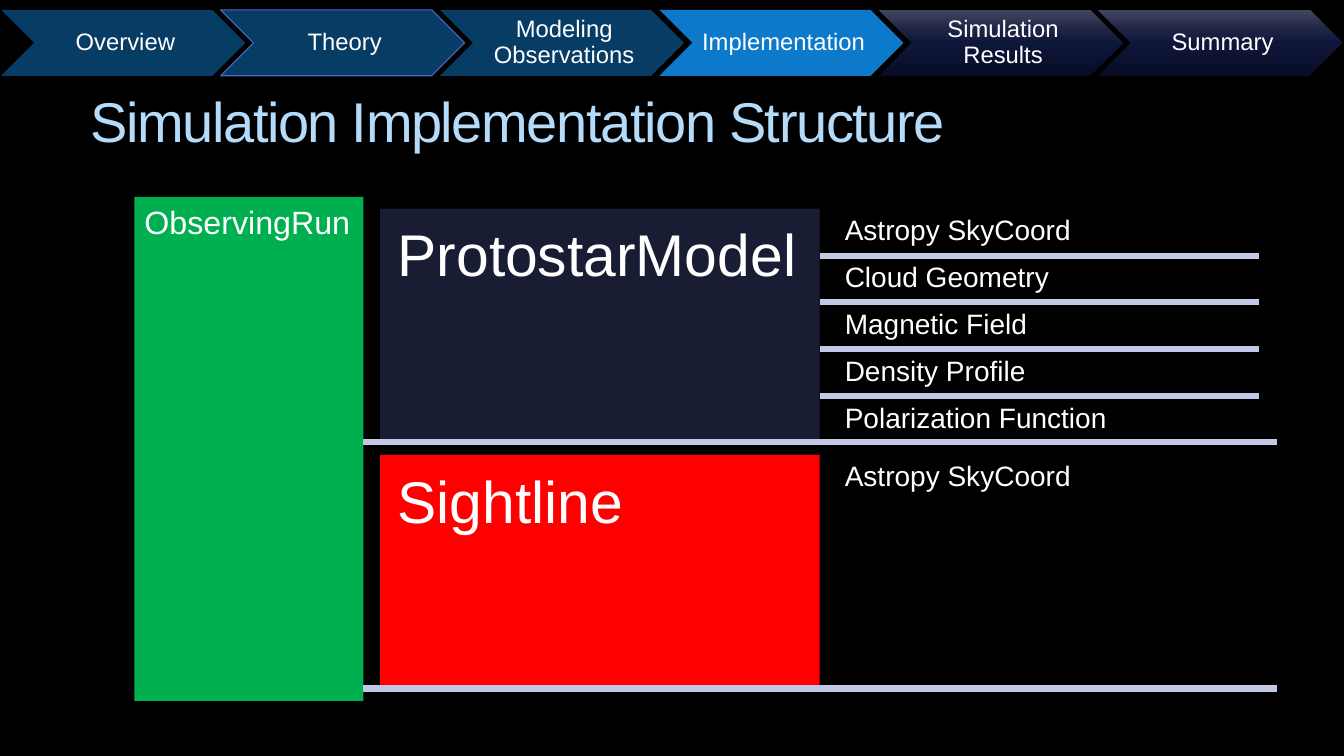
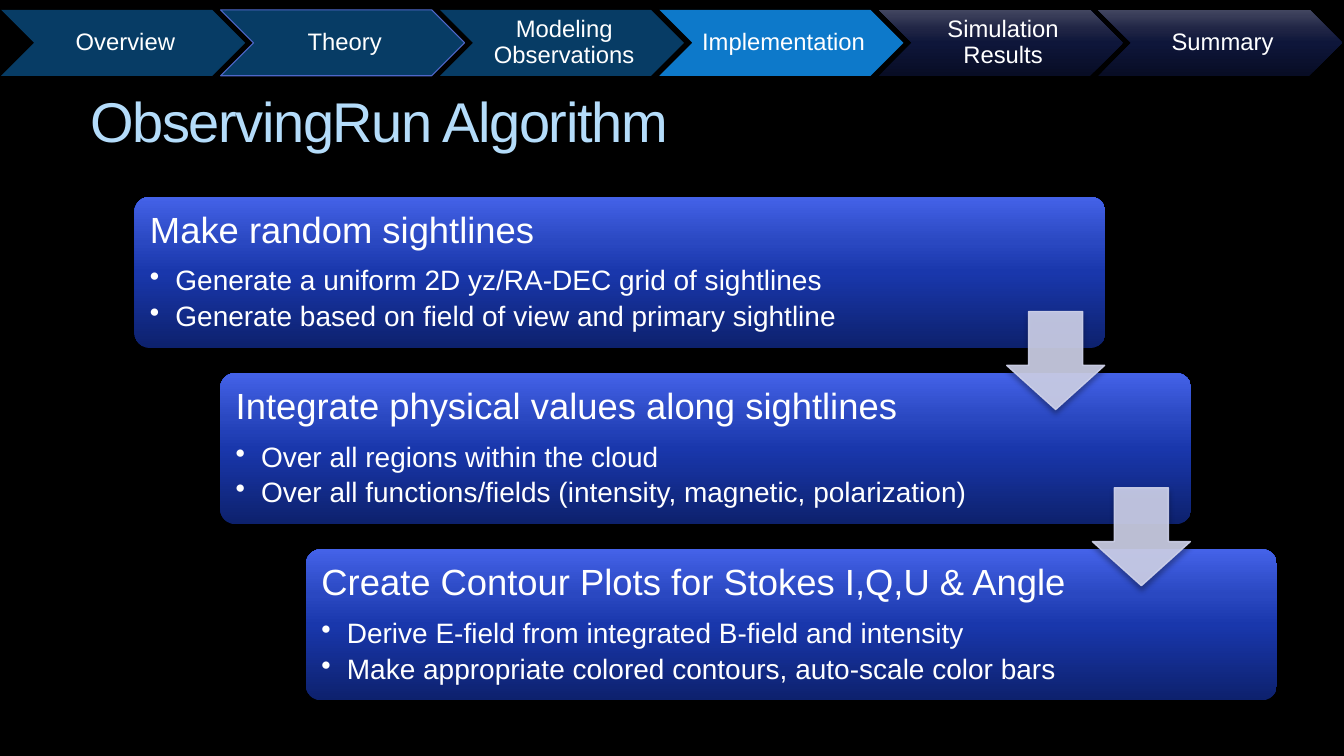
"""Build two slides on the implementation of a protostar observing simulation."""
from dataclasses import dataclass
from typing import Optional, Union

import lxml.etree
import pptx
import pptx.dml.color
import pptx.enum.shapes
import pptx.enum.text
import pptx.oxml.ns
import pptx.util

Cm = pptx.util.Cm
Pt = pptx.util.Pt
RGBColor = pptx.dml.color.RGBColor
Shapes = pptx.enum.shapes.MSO_SHAPE
Anchor = pptx.enum.text.MSO_ANCHOR
Align = pptx.enum.text.PP_ALIGN
qn = pptx.oxml.ns.qn

FONT = "Arial"
BLACK = RGBColor(0x00, 0x00, 0x00)
WHITE = RGBColor(0xFF, 0xFF, 0xFF)
TITLE_BLUE = RGBColor(0xB4, 0xDC, 0xFA)
DONE_BLUE = RGBColor(0x07, 0x3C, 0x65)
CURRENT_BLUE = RGBColor(0x0D, 0x79, 0xCA)
OUTLINE_BLUE = RGBColor(0x4E, 0x67, 0xC8)
GREEN = RGBColor(0x00, 0xB0, 0x50)
NAVY = RGBColor(0x19, 0x1D, 0x34)
RED = RGBColor(0xFF, 0x00, 0x00)
RULE_LILAC = RGBColor(0xC2, 0xC7, 0xE6)
ARROW_LILAC = RGBColor(0xD0, 0xD3, 0xEB)


@dataclass(frozen=True)
class Gradient:
    """Four colours that rise from the bottom edge to the top edge."""
    colours: tuple[RGBColor, RGBColor, RGBColor, RGBColor]
    stops: tuple[int, ...] = (0, 50, 70, 100)


Fill = Union[RGBColor, Gradient]

AHEAD_NAVY = Gradient((RGBColor(0x08, 0x0D, 0x25), RGBColor(0x0E, 0x16, 0x3A),
                       RGBColor(0x1F, 0x24, 0x44), RGBColor(0x42, 0x46, 0x60)))
CARD_BLUE = Gradient((RGBColor(0x0D, 0x21, 0x6D), RGBColor(0x19, 0x37, 0xAC),
                      RGBColor(0x2A, 0x48, 0xC1), RGBColor(0x44, 0x62, 0xE8)))


@dataclass(frozen=True)
class Box:
    """A rectangle in centimetres."""
    left: float
    top: float
    width: float
    height: float

    def lengths(self) -> tuple:
        """Return the four measures as slide lengths."""
        return Cm(self.left), Cm(self.top), Cm(self.width), Cm(self.height)

    def shifted(self, across: float, down: float) -> "Box":
        """Return the same rectangle moved by the given distances."""
        return Box(self.left + across, self.top + down, self.width, self.height)


@dataclass(frozen=True)
class Stage:
    """One chevron of the progress band."""
    label: str
    fill: Fill
    outline: Optional[RGBColor] = None


@dataclass(frozen=True)
class ModelClass:
    """A class of the simulation and the members it holds."""
    name: str
    fill: RGBColor
    members: tuple[str, ...]


@dataclass(frozen=True)
class Step:
    """One step of the algorithm with its details."""
    heading: str
    details: tuple[str, ...]


STAGES = (
    Stage("Overview", DONE_BLUE),
    Stage("Theory", DONE_BLUE, OUTLINE_BLUE),
    Stage("Modeling Observations", DONE_BLUE),
    Stage("Implementation", CURRENT_BLUE),
    Stage("Simulation Results", AHEAD_NAVY),
    Stage("Summary", AHEAD_NAVY),
)
MODEL_CLASSES = (
    ModelClass("ProtostarModel", NAVY,
               ("Astropy SkyCoord", "Cloud Geometry", "Magnetic Field",
                "Density Profile", "Polarization Function")),
    ModelClass("Sightline", RED, ("Astropy SkyCoord",)),
)
STEPS = (
    Step("Make random sightlines",
         ("Generate a uniform 2D yz/RA-DEC grid of sightlines",
          "Generate based on field of view and primary sightline")),
    Step("Integrate physical values along sightlines",
         ("Over all regions within the cloud",
          "Over all functions/fields (intensity, magnetic, polarization)")),
    Step("Create Contour Plots for Stokes I,Q,U & Angle",
         ("Derive E-field from integrated B-field and intensity",
          "Make appropriate colored contours, auto-scale color bars")),
)

TITLE_BOX = Box(2.03, 2.06, 28.78, 2.2)
STAGE_BOX = Box(0.03, 0.25, 6.15, 1.66)
STAGE_PITCH = 5.53
RUN_BOX = Box(3.39, 4.96, 5.77, 12.7)
CLASS_BOX = Box(9.58, 5.26, 11.08, 5.89)
CLASS_PITCH = 6.2
MEMBER_BOX = Box(21.09, 5.26, 11.08, 1.18)
MEMBER_RULE_END = 31.74
CLASS_RULE_END = 32.18
CARD_BOX = Box(3.39, 4.96, 24.47, 3.81)
ARROW_BOX = Box(25.37, 7.85, 2.47, 2.47)
CARD_SHIFT = (2.16, 4.44)


def paint(shape, fill: Fill) -> None:
    """Fill a shape with a plain colour or a gradient."""
    if isinstance(fill, RGBColor):
        shape.fill.solid()
        shape.fill.fore_color.rgb = fill
        return
    shape.fill.gradient()
    shape.fill.gradient_angle = 90
    stop_list = shape._element.spPr.find(".//" + qn("a:gsLst"))
    for old_stop in list(stop_list):
        stop_list.remove(old_stop)
    for position, colour in zip(fill.stops, fill.colours):
        stop = lxml.etree.SubElement(stop_list, qn("a:gs"), pos=str(position * 1000))
        lxml.etree.SubElement(stop, qn("a:srgbClr"), val=str(colour))


def add_block(slide, preset, box: Box, fill: Fill, outline: Optional[RGBColor] = None):
    """Draw a filled preset shape without shadow."""
    block = slide.shapes.add_shape(preset, *box.lengths())
    block.shadow.inherit = False
    paint(block, fill)
    if outline is None:
        block.line.fill.background()
    else:
        block.line.color.rgb = outline
        block.line.width = Pt(0.75)
    return block


def set_frame(shape, left: float, top: float, right: float, anchor=Anchor.TOP):
    """Set insets and anchor, and return the text frame."""
    frame = shape.text_frame
    frame.word_wrap = True
    frame.vertical_anchor = anchor
    frame.margin_left, frame.margin_right = Cm(left), Cm(right)
    frame.margin_top = frame.margin_bottom = Cm(top)
    return frame


def write(paragraph, text: str, size: float, colour: RGBColor = WHITE,
          align=Align.LEFT, spacing: float = 0.9) -> None:
    """Put styled text in a paragraph."""
    paragraph.text = text
    paragraph.alignment = align
    paragraph.line_spacing = spacing
    paragraph.font.name = FONT
    paragraph.font.size = Pt(size)
    paragraph.font.color.rgb = colour


def add_bullet(paragraph) -> None:
    """Give a paragraph a hanging round bullet."""
    properties = paragraph._p.get_or_add_pPr()
    properties.set("marL", str(Cm(0.64)))
    properties.set("indent", str(-Cm(0.64)))
    bullet = lxml.etree.Element(qn("a:buChar"), char="•")
    properties.find(qn("a:defRPr")).addprevious(bullet)


def add_label(slide, box: Box, text: str) -> None:
    """Write the name of a class member."""
    label = slide.shapes.add_textbox(*box.lengths())
    write(set_frame(label, 0.2, 0.2, 0).paragraphs[0], text, 20)


def add_rule(slide, start: float, end: float, height: float) -> None:
    """Draw a horizontal rule."""
    rule = slide.shapes.add_connector(pptx.enum.shapes.MSO_CONNECTOR.STRAIGHT,
                                      Cm(start), Cm(height), Cm(end), Cm(height))
    rule.line.color.rgb = RULE_LILAC
    rule.line.width = Pt(4.33)
    lxml.etree.SubElement(rule._element.spPr, qn("a:effectLst"))


def add_arrow(slide, box: Box) -> None:
    """Draw a translucent down arrow with a soft shadow."""
    arrow = add_block(slide, Shapes.DOWN_ARROW, box, ARROW_LILAC, ARROW_LILAC)
    arrow.line.width = Pt(1)
    arrow.adjustments[0] = 0.55
    arrow.adjustments[1] = 0.45
    properties = arrow._element.spPr
    for colour in list(properties.iter(qn("a:srgbClr"))):
        lxml.etree.SubElement(colour, qn("a:alpha"), val="90000")
    shadow = lxml.etree.SubElement(
        properties.find(qn("a:effectLst")), qn("a:outerShdw"), blurRad=str(Pt(4)),
        dist=str(Pt(3)), dir="5400000", rotWithShape="0")
    shade = lxml.etree.SubElement(shadow, qn("a:srgbClr"), val=str(BLACK))
    lxml.etree.SubElement(shade, qn("a:alpha"), val="35000")


def add_slide(deck, heading: str):
    """Add a slide with its title and the progress band."""
    slide = deck.slides.add_slide(deck.slide_layouts[6])
    title = slide.shapes.add_textbox(*TITLE_BOX.lengths())
    paragraph = set_frame(title, 0.25, 0.13, 0.25).paragraphs[0]
    write(paragraph, heading, 40, TITLE_BLUE, spacing=1.0)
    paragraph._p.pPr.find(qn("a:defRPr")).set("spc", "-100")
    for index, stage in enumerate(STAGES):
        chevron = add_block(slide, Shapes.CHEVRON, STAGE_BOX.shifted(index * STAGE_PITCH, 0),
                            stage.fill, stage.outline)
        frame = set_frame(chevron, 0.17, 0.06, 0.06, Anchor.MIDDLE)
        write(frame.paragraphs[0], stage.label, 17, align=Align.CENTER)
    return slide


def build_structure(deck) -> None:
    """Draw the classes and their members."""
    slide = add_slide(deck, "Simulation Implementation Structure")
    run = add_block(slide, Shapes.RECTANGLE, RUN_BOX, GREEN)
    write(set_frame(run, 0.25, 0.25, 0).paragraphs[0], "ObservingRun", 23)
    for row, model in enumerate(MODEL_CLASSES):
        box = CLASS_BOX.shifted(0, row * CLASS_PITCH)
        block = add_block(slide, Shapes.RECTANGLE, box, model.fill)
        write(set_frame(block, 0.44, 0.44, 0).paragraphs[0], model.name, 42)
        for index, member in enumerate(model.members):
            member_box = MEMBER_BOX.shifted(0, row * CLASS_PITCH + index * MEMBER_BOX.height)
            if index:
                add_rule(slide, box.left + box.width, MEMBER_RULE_END, member_box.top)
            add_label(slide, member_box, member)
        add_rule(slide, RUN_BOX.left + RUN_BOX.width, CLASS_RULE_END, box.top + box.height)


def build_algorithm(deck) -> None:
    """Draw the descending steps and the arrows between them."""
    slide = add_slide(deck, "ObservingRun Algorithm")
    across, down = CARD_SHIFT
    for index, step in enumerate(STEPS):
        card = add_block(slide, Shapes.ROUNDED_RECTANGLE,
                         CARD_BOX.shifted(index * across, index * down), CARD_BLUE)
        card.adjustments[0] = 0.1
        frame = set_frame(card, 0.28, 0.28, 0.28, Anchor.MIDDLE)
        previous = frame.paragraphs[0]
        write(previous, step.heading, 26)
        gap = 11
        for detail in step.details:
            previous.space_after = Pt(gap)
            previous = frame.add_paragraph()
            write(previous, detail, 20)
            add_bullet(previous)
            gap = 4
    for index in range(len(STEPS) - 1):
        add_arrow(slide, ARROW_BOX.shifted(index * across, index * down))


def main() -> None:
    """Build and save the deck."""
    deck = pptx.Presentation()
    deck.slide_width, deck.slide_height = Cm(33.87), Cm(19.05)
    backdrop = deck.slide_master.background.fill
    backdrop.solid()
    backdrop.fore_color.rgb = BLACK
    build_structure(deck)
    build_algorithm(deck)
    deck.save("out.pptx")


if __name__ == "__main__":
    main()
